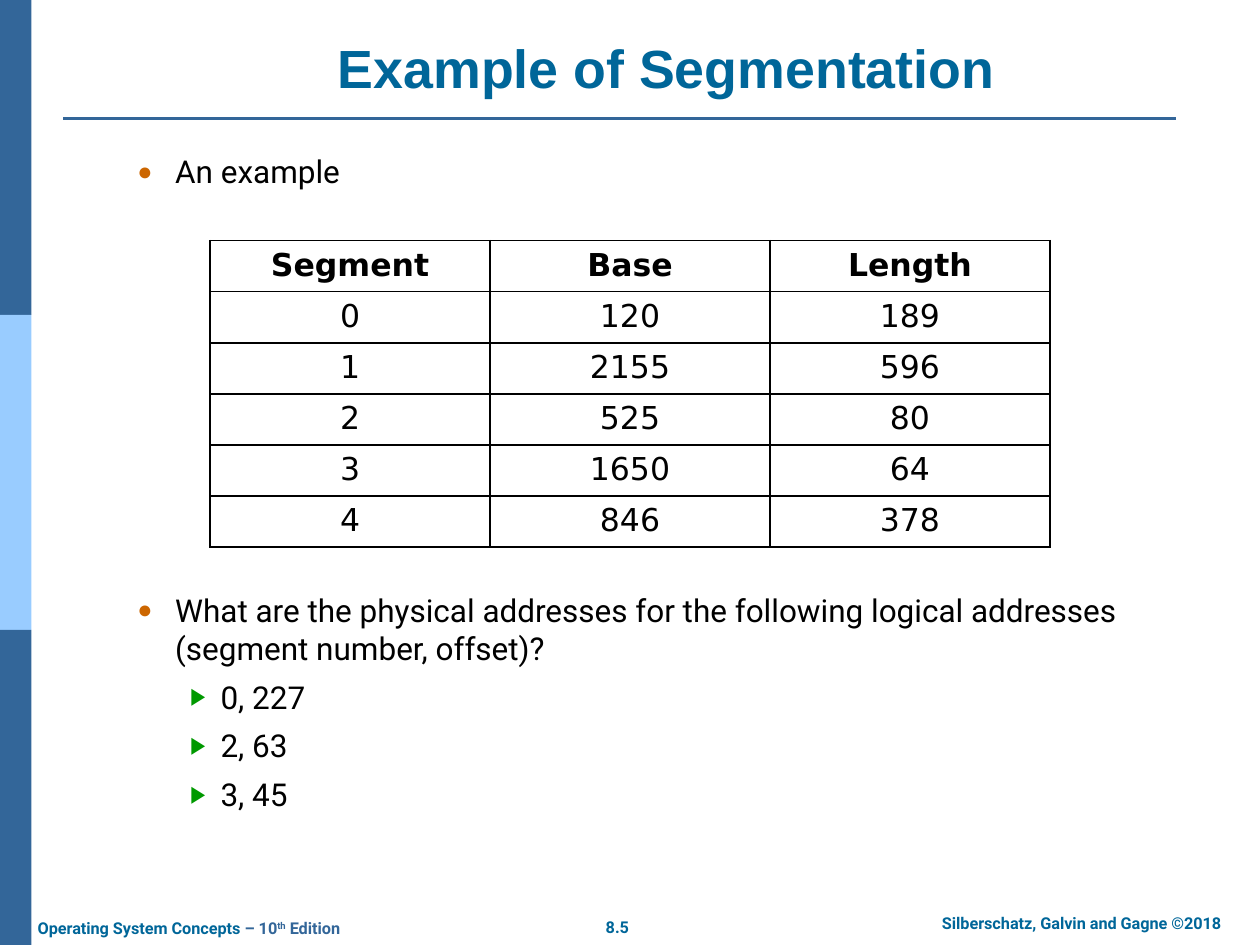
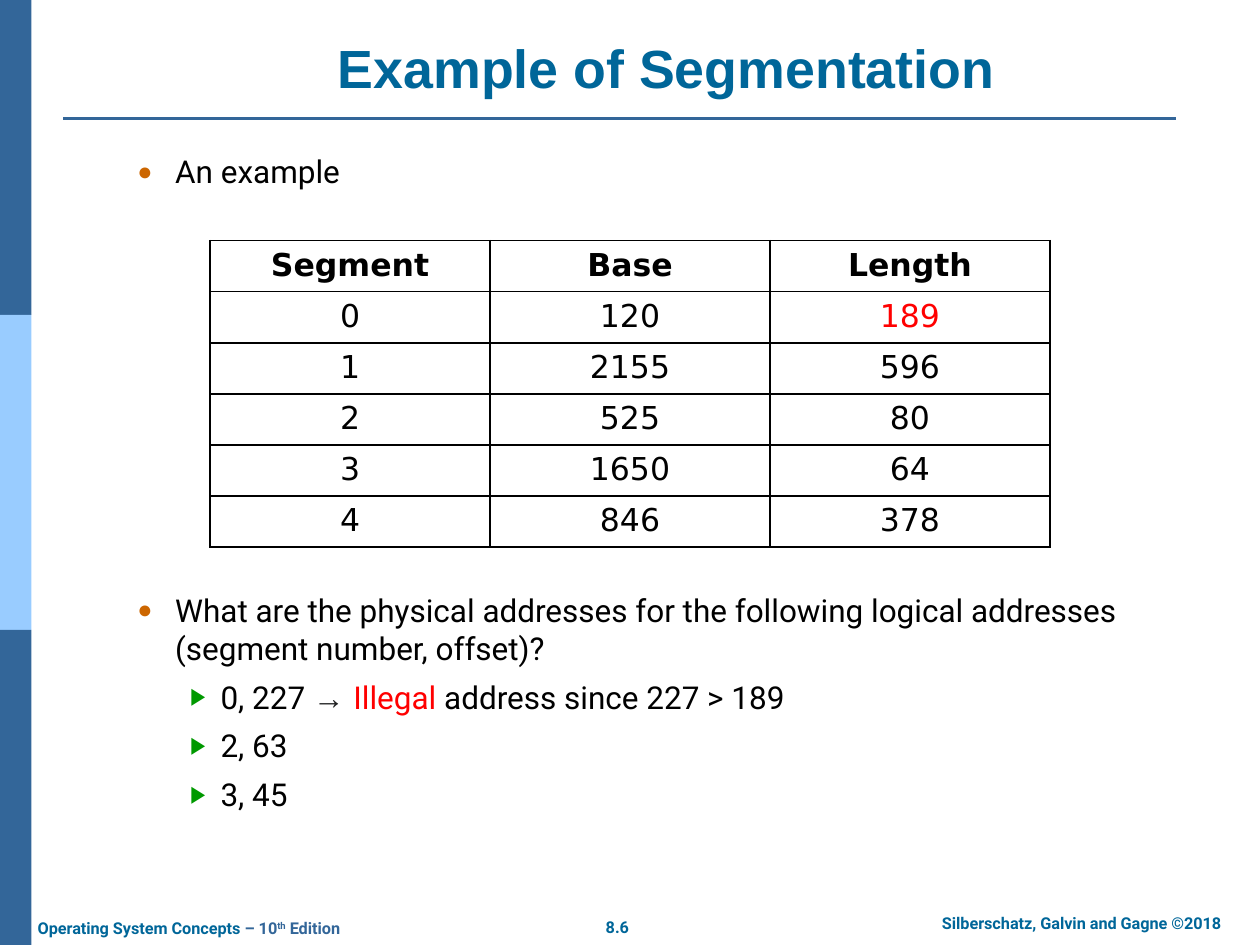
from lxml import etree
from pptx import Presentation
from pptx.dml.color import RGBColor
from pptx.enum.shapes import MSO_CONNECTOR, MSO_SHAPE
from pptx.enum.text import MSO_ANCHOR, MSO_AUTO_SIZE, PP_ALIGN
from pptx.oxml.ns import qn
from pptx.util import Inches, Pt

LEFT, CENTER = PP_ALIGN.LEFT, PP_ALIGN.CENTER
TOP, BOTTOM = MSO_ANCHOR.TOP, MSO_ANCHOR.BOTTOM
FIXED, GROW = MSO_AUTO_SIZE.NONE, MSO_AUTO_SIZE.SHAPE_TO_FIT_TEXT
TITLE_ONLY = 5

COLORS = {
    "band": "336699", "light": "99CCFF", "title": "006699", "text": "000000",
    "dot": "CC6600", "arrow": "009900", "alert": "FF0000", "symbol": "202122",
    "white": "FFFFFF",
}
TITLE = {"name": "Arial", "size": Pt(30.7), "bold": True, "color": "title"}
BODY = {"name": "Roboto", "size": Pt(18), "bold": False, "color": "text"}
FOOTER = {"name": "Roboto", "size": Pt(9.3), "bold": True, "color": "title"}
CELL = {"name": "DejaVu Sans", "size": Pt(18), "bold": False, "color": "text"}
ALERT = {"color": "alert"}
EDITION = {"color": "band"}

BULLETS = [
    {"color": "dot", "size": 80, "mark": "●", "indent": 0.77, "hang": 0.3},
    {"color": "arrow", "size": 75, "mark": "▶", "indent": 1.13, "hang": 0.24},
]
SEGMENTS = [
    ["Segment", "Base", "Length"],
    ["0", "120", "189"],
    ["1", "2155", "596"],
    ["2", "525", "80"],
    ["3", "1650", "64"],
    ["4", "846", "378"],
]
QUESTION = ("What are the physical addresses for the following logical addresses "
            "(segment number, offset)?")
ILLEGAL = [
    ("0, 227 ", {}),
    ("→ ", {"name": "Arial", "color": "symbol"}),
    ("Illegal", ALERT),
    (" address since 227 > 189", {}),
]
PAGES = [
    {"number": "8.5", "first": [("0, 227", {})], "marked": None},
    {"number": "8.6", "first": ILLEGAL, "marked": (1, 2)},
]

deck = Presentation()
deck.slide_width, deck.slide_height = Inches(10), Inches(7.5)
COLUMN, ROW = deck.slide_width / 100, deck.slide_height / 75


def grid(left, top, width, height):
    return [round(n * unit) for n, unit in
            zip((left, top, width, height), (COLUMN, ROW, COLUMN, ROW))]


def write(para, spans, style):
    for text, changes in spans:
        span = para.add_run()
        span.text = text
        for key, value in {**style, **changes}.items():
            if key == "color":
                span.font.color.rgb = RGBColor.from_string(COLORS[value])
            elif key == "baseline":
                span._r.get_or_add_rPr().set("baseline", value)
            else:
                setattr(span.font, key, value)


for content in PAGES:
    page = deck.slides.add_slide(deck.slide_layouts[TITLE_ONLY])

    for index, color in enumerate(["band", "light", "band"]):
        band = page.shapes.add_shape(MSO_SHAPE.RECTANGLE, *grid(0, 25 * index, 2.5, 25))
        band.shadow.inherit = False
        band.fill.solid()
        band.fill.fore_color.rgb = RGBColor.from_string(COLORS[color])
        band.line.fill.background()

    rule = page.shapes.add_connector(MSO_CONNECTOR.STRAIGHT, *grid(5, 9.4, 93.3, 9.4))
    rule.line.color.rgb = RGBColor.from_string(COLORS["band"])
    rule.line.width = Pt(1.5)
    etree.SubElement(rule._element.spPr, qn("a:effectLst"))

    footers = [
        (grid(46.7, 72.3, 4.6, 2.5), CENTER, False, [(content["number"], {})]),
        (grid(71, 72, 29.7, 2.5), CENTER, True,
         [("Silberschatz, Galvin and Gagne ©2018", {})]),
        (grid(2, 72.4, 28.2, 2.5), LEFT, False,
         [("Operating System Concepts", {}), (" – 10", EDITION),
          ("th", {**EDITION, "baseline": "30000"}), (" Edition", EDITION)]),
    ]
    for place, align, wrap, spans in footers:
        box = page.shapes.add_textbox(*place)
        box.text_frame.word_wrap = wrap
        box.text_frame.auto_size = GROW
        para = box.text_frame.paragraphs[0]
        para.alignment = align
        write(para, spans, FOOTER)

    title = page.shapes.title
    title.left, title.top, title.width, title.height = grid(10.8, 2.3, 84.2, 6.3)
    body = page.shapes.add_textbox(*grid(4.8, 11.4, 89.1, 57.8))
    for box, anchor in ((title, BOTTOM), (body, TOP)):
        frame_format = {
            "word_wrap": True, "auto_size": FIXED, "vertical_anchor": anchor,
            "margin_left": Inches(0.14), "margin_right": Inches(0.14),
            "margin_top": Inches(0.07), "margin_bottom": Inches(0.07),
        }
        for key, value in frame_format.items():
            setattr(box.text_frame, key, value)
    heading = title.text_frame.paragraphs[0]
    heading.alignment = CENTER
    write(heading, [("Example of Segmentation", {})], TITLE)

    lines = [
        (0, 0, [("An example", {})]),
        (0, 229, [(QUESTION, {})]),
        (1, 6.3, content["first"]),
        (1, 6.3, [("2, 63", {})]),
        (1, 6.3, [("3, 45", {})]),
    ]
    for index, (level, space, spans) in enumerate(lines):
        para = body.text_frame.add_paragraph() if index else body.text_frame.paragraphs[0]
        para.level = level
        para.space_before = Pt(space)
        bullet = BULLETS[level]
        properties = para._p.get_or_add_pPr()
        properties.set("marL", str(Inches(bullet["indent"])))
        properties.set("indent", str(-Inches(bullet["hang"])))
        tint = etree.SubElement(properties, qn("a:buClr"))
        etree.SubElement(tint, qn("a:srgbClr"), val=COLORS[bullet["color"]])
        etree.SubElement(properties, qn("a:buSzPct"), val=str(bullet["size"] * 1000))
        etree.SubElement(properties, qn("a:buFont"), typeface="Arial")
        etree.SubElement(properties, qn("a:buChar"), char=bullet["mark"])
        write(para, spans, BODY)

    table = page.shapes.add_table(
        len(SEGMENTS), len(SEGMENTS[0]), *grid(16.67, 19.1, 66.67, 24.35)).table
    table.first_row = table.horz_banding = False
    for row, values in enumerate(SEGMENTS):
        for column, value in enumerate(values):
            cell = table.cell(row, column)
            properties = cell._tc.get_or_add_tcPr()
            for side in ("a:lnL", "a:lnR", "a:lnT", "a:lnB"):
                border = etree.SubElement(properties, qn(side), w=str(Pt(1)))
                paint = etree.SubElement(border, qn("a:solidFill"))
                etree.SubElement(paint, qn("a:srgbClr"), val=COLORS["text"])
            if row % 2:
                cell.fill.solid()
                cell.fill.fore_color.rgb = RGBColor.from_string(COLORS["white"])
                shade = properties.find(qn("a:solidFill")).find(qn("a:srgbClr"))
                etree.SubElement(shade, qn("a:alpha"), val="20000")
            else:
                cell.fill.background()
            para = cell.text_frame.paragraphs[0]
            para.alignment = CENTER
            changes = ALERT if (row, column) == content["marked"] else {"bold": row == 0}
            write(para, [(value, changes)], CELL)

deck.save("out.pptx")
